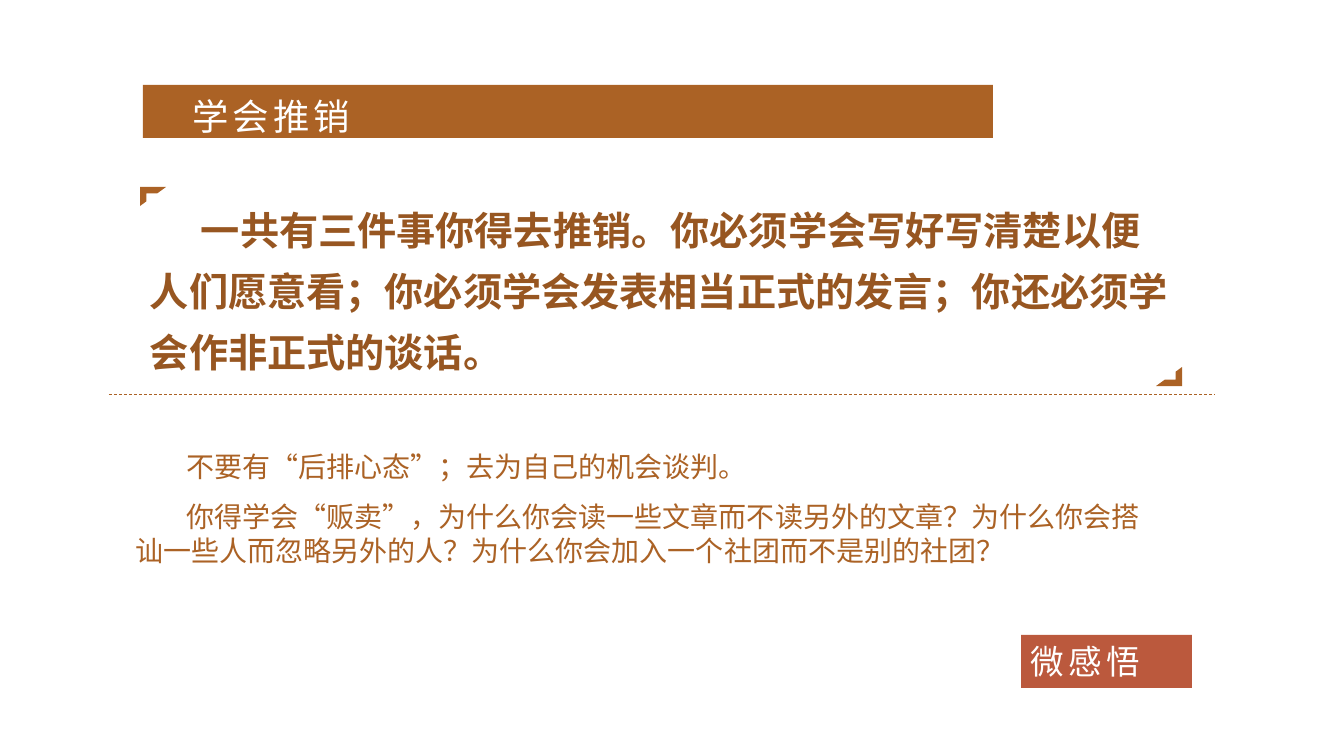
from lxml.etree import SubElement
from pptx import Presentation
from pptx.dml.color import RGBColor
from pptx.enum.dml import MSO_LINE
from pptx.enum.shapes import MSO_CONNECTOR as CONN, MSO_SHAPE as SHAPE
from pptx.enum.text import MSO_ANCHOR as ANCHOR, MSO_AUTO_SIZE as FIT, PP_ALIGN as ALIGN
from pptx.oxml.ns import qn
from pptx.util import Pt

PX = 914400 / 100.8
BROWN = RGBColor(0xAB, 0x62, 0x25)
DARK = RGBColor(0x97, 0x56, 0x21)
RED = RGBColor(0xBB, 0x59, 0x3D)
WHITE = RGBColor(0xFF, 0xFF, 0xFF)


def px(*lengths):
    return [round(n * PX) for n in lengths]


class Deck:
    font = "Noto Sans CJK SC"

    def __init__(self, width, height):
        self.prs = Presentation()
        self.prs.slide_width, self.prs.slide_height = px(width, height)
        self.s = self.prs.slides.add_slide(self.prs.slide_layouts[1])

    def shape(self, kind, box, color, rotation=0):
        sp = self.s.shapes.add_shape(kind, *px(*box))
        sp.shadow.inherit = False
        sp.fill.solid()
        sp.fill.fore_color.rgb = color
        sp.line.fill.background()
        sp.rotation = rotation

    def dashed_line(self, x1, x2, y, color):
        line = self.s.shapes.add_connector(CONN.STRAIGHT, *px(x1, y, x2, y))
        line.line.color.rgb = color
        line.line.width = Pt(0.5)
        line.line.dash_style = MSO_LINE.DASH
        SubElement(line._element.spPr, qn("a:effectLst"))

    def placeholder(self, index, box, texts, **style):
        sp = self.s.placeholders[index]
        sp.left, sp.top, sp.width, sp.height = px(*box)
        self.s.shapes._spTree.append(sp._element)  # bring to front
        self.fill_text(sp.text_frame, texts, **style)

    def textbox(self, box, texts, **style):
        sp = self.s.shapes.add_textbox(*px(*box))
        self.fill_text(sp.text_frame, texts, **style)

    def fill_text(self, tf, texts, size, color, bold=False, spacing=1.0,
                  before=0, indent=0, tracking=0):
        frame = {"word_wrap": True, "auto_size": FIT.SHAPE_TO_FIT_TEXT,
                 "vertical_anchor": ANCHOR.TOP}
        for name, value in frame.items():
            setattr(tf, name, value)
        for i, text in enumerate(texts):
            p = tf.paragraphs[0] if i == 0 else tf.add_paragraph()
            para = {"alignment": ALIGN.LEFT, "line_spacing": spacing,
                    "space_before": Pt(before if i else 0), "space_after": Pt(0)}
            for name, value in para.items():
                setattr(p, name, value)
            pPr = p._p.get_or_add_pPr()
            pPr.set("marL", "0")
            pPr.set("indent", str(px(indent)[0]))
            SubElement(pPr, qn("a:buNone"))
            r = p.add_run()
            r.text = text
            run = {"name": self.font, "size": Pt(size), "bold": bold}
            for name, value in run.items():
                setattr(r.font, name, value)
            r.font.color.rgb = color
            rPr = r._r.get_or_add_rPr()
            rPr.set("spc", str(tracking * 100))
            SubElement(rPr, qn("a:ea")).set("typeface", self.font)


def main():
    deck = Deck(1344, 756)

    # Title bar
    deck.shape(SHAPE.RECTANGLE, (143, 85, 850, 53), BROWN)
    deck.placeholder(0, (182, 83, 804, 57), ["学会推销"],
                     size=26, color=WHITE, spacing=1.14, tracking=3)

    # Body paragraphs
    deck.placeholder(1, (125, 444, 1042, 129), [
        "不要有“后排心态”；去为自己的机会谈判。",
        "你得学会“贩卖”，为什么你会读一些文章而不读另外的文章？为什么你会搭讪一些人"
        "而忽略另外的人？为什么你会加入一个社团而不是别的社团？",
    ], size=20, color=BROWN, before=12, indent=51)

    # Key statement between two corner marks
    deck.textbox((140, 187, 1045, 190), [
        "一共有三件事你得去推销。你必须学会写好写清楚以便人们愿意看；"
        "你必须学会发表相当正式的发言；你还必须学会作非正式的谈话。",
    ], size=28, color=DARK, bold=True, spacing=1.3, indent=51)
    for x, y, rotation in ((140, 187, 0), (1156, 367, 180)):
        deck.shape(SHAPE.HALF_FRAME, (x, y, 26, 19), BROWN, rotation)
    deck.dashed_line(109, 1215, 394, BROWN)

    # Corner tag
    deck.shape(SHAPE.RECTANGLE, (1021, 635, 171, 53), RED)
    deck.textbox((1021, 636, 140, 50), ["微感悟"],
                 size=24, color=WHITE, tracking=3)

    deck.prs.save("out.pptx")


if __name__ == "__main__":
    main()
